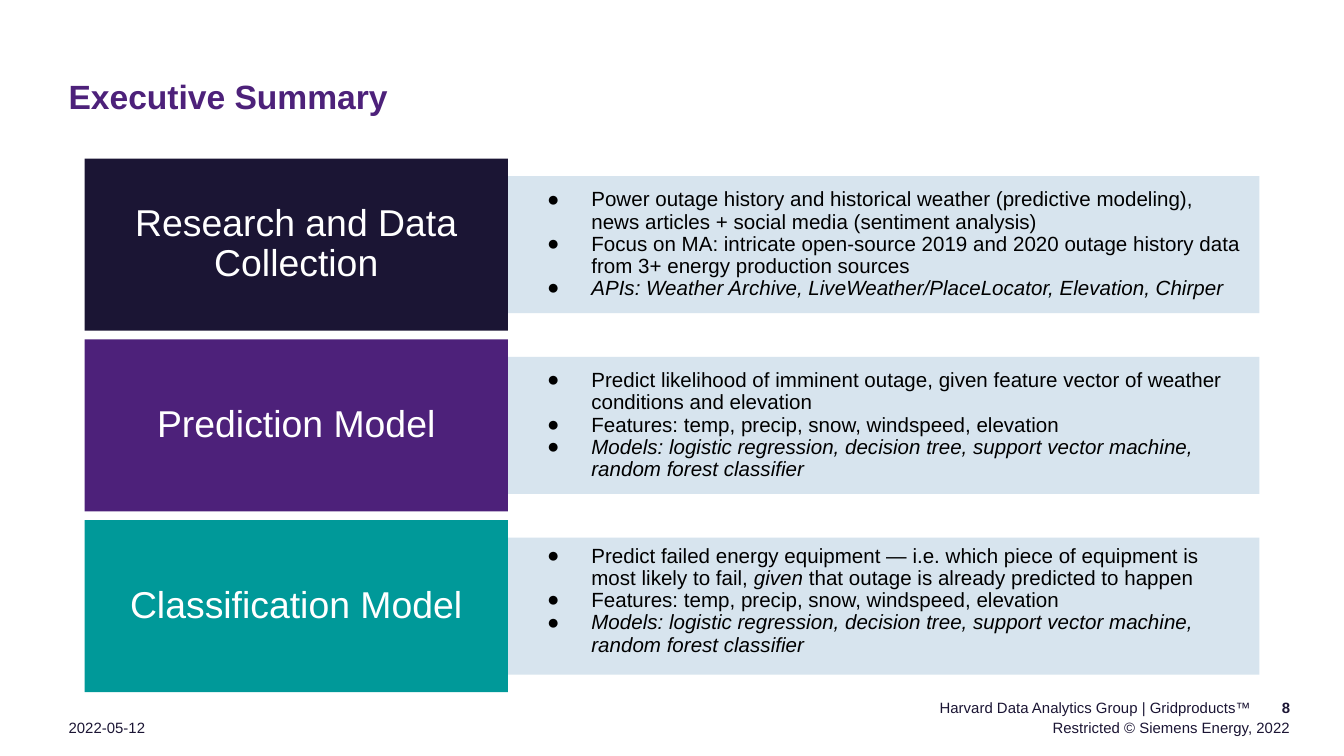
from dataclasses import dataclass
from typing import Any

from lxml import etree
from pptx import Presentation
from pptx.dml.color import RGBColor
from pptx.enum.shapes import MSO_SHAPE
from pptx.enum.text import MSO_ANCHOR, PP_ALIGN
from pptx.oxml.ns import qn
from pptx.util import Pt

PX = 4572  # 200 px to the inch
RECTANGLE = MSO_SHAPE.RECTANGLE
TOP, MIDDLE, BOTTOM = MSO_ANCHOR.TOP, MSO_ANCHOR.MIDDLE, MSO_ANCHOR.BOTTOM
LEFT, CENTER, RIGHT = PP_ALIGN.LEFT, PP_ALIGN.CENTER, PP_ALIGN.RIGHT

NAVY = RGBColor(0x1B, 0x15, 0x34)
PURPLE = RGBColor(0x4D, 0x21, 0x7A)
TEAL = RGBColor(0x00, 0x99, 0x99)
PALE_BLUE = RGBColor(0xD7, 0xE4, 0xEE)
BLACK = RGBColor(0, 0, 0)
WHITE = RGBColor(0xFF, 0xFF, 0xFF)

Area = tuple[int, int, int, int]


@dataclass
class Span:
    text: str
    italic: bool = False


@dataclass
class Style:
    size: int
    color: RGBColor
    insets: Area
    bold: bool = False
    anchor: MSO_ANCHOR = MIDDLE
    align: PP_ALIGN = LEFT
    spacing: float = 1.0
    bullet: str = ""


@dataclass
class Topic:
    heading: str
    color: RGBColor
    points: list[list[Span]]
    anchor: MSO_ANCHOR = MIDDLE


@dataclass
class Label:
    text: str
    area: Area
    style: Style


# Content
FEATURES = [Span("Features: temp, precip, snow, windspeed, elevation")]
MODELS = [Span("Models: logistic regression, decision tree, support vector machine, "
               "random forest classifier", True)]
TOPICS = [
    Topic("Research and Data Collection", NAVY, [
        [Span("Power outage history and historical weather (predictive modeling), "
              "news articles + social media (sentiment analysis)")],
        [Span("Focus on MA: intricate open-source 2019 and 2020 outage history data "
              "from 3+ energy production sources")],
        [Span("APIs: Weather Archive, LiveWeather/PlaceLocator, Elevation, Chirper", True)],
    ]),
    Topic("Prediction Model", PURPLE, [
        [Span("Predict likelihood of imminent outage, given feature vector of weather "
              "conditions and elevation")],
        FEATURES,
        MODELS,
    ]),
    Topic("Classification Model", TEAL, [
        [Span("Predict failed energy equipment — i.e. which piece of equipment is "
              "most likely to fail, "),
         Span("given", True),
         Span(" that outage is already predicted to happen")],
        FEATURES,
        MODELS,
    ], TOP),
]
LABELS = [
    Label("Executive Summary", (0, 0, 1584, 232),
          Style(18, PURPLE, (102, 62, 0, 0), bold=True, spacing=0.9)),
    Label("Harvard Data Analytics Group | Gridproducts™", (1024, 1012, 976, 60),
          Style(8, NAVY, (0, 0, 138, 6), anchor=BOTTOM, align=RIGHT)),
    Label("8", (1864, 1012, 136, 60),
          Style(8, NAVY, (0, 0, 80, 6), bold=True, anchor=BOTTOM, align=RIGHT)),
    Label("Restricted © Siemens Energy, 2022", (1024, 1070, 976, 54),
          Style(8, NAVY, (102, 0, 80, 0), anchor=TOP, align=RIGHT)),
    Label("2022-05-12", (0, 1070, 278, 54),
          Style(8, NAVY, (102, 0, 0, 0), anchor=TOP)),
]

# Row layout
ROW_TOP, ROW_PITCH = 236, 269
HEADING_LEFT, HEADING_WIDTH, HEADING_HEIGHT = 126, 630, 256
PANEL_LEFT = HEADING_LEFT + HEADING_WIDTH
PANEL_WIDTH, PANEL_HEIGHT = 1118, 204
PANEL_OFFSET = (HEADING_HEIGHT - PANEL_HEIGHT) // 2
BULLET_MARGIN, BULLET_INDENT = 100, -66


def scaled(area: Area) -> list[int]:
    return [value * PX for value in area]


def set_values(target: Any, values: dict[str, Any]) -> None:
    for name, value in values.items():
        setattr(target, name, value)


def add_bullet(para: Any, mark: str) -> None:
    properties = para._p.get_or_add_pPr()
    properties.set("marL", str(BULLET_MARGIN * PX))
    properties.set("indent", str(BULLET_INDENT * PX))
    color = etree.SubElement(properties, qn("a:buClr"))
    etree.SubElement(color, qn("a:srgbClr")).set("val", str(BLACK))
    etree.SubElement(properties, qn("a:buFont")).set("typeface", "Arial")
    etree.SubElement(properties, qn("a:buChar")).set("char", mark)


def write(box: Any, paragraphs: list[list[Span]], style: Style) -> None:
    frame = box.text_frame
    left, top, right, bottom = scaled(style.insets)
    set_values(frame, {
        "word_wrap": True, "vertical_anchor": style.anchor,
        "margin_left": left, "margin_top": top,
        "margin_right": right, "margin_bottom": bottom,
    })
    for index, spans in enumerate(paragraphs):
        para = frame.add_paragraph() if index else frame.paragraphs[0]
        if style.bullet:
            add_bullet(para, style.bullet)
        set_values(para, {"alignment": style.align, "line_spacing": style.spacing})
        for span in spans:
            run = para.add_run()
            run.text = span.text
            set_values(run.font, {"name": "Arial", "size": Pt(style.size),
                                  "bold": style.bold, "italic": span.italic})
            run.font.color.rgb = style.color


def add_block(page: Any, area: Area, fill: RGBColor,
              paragraphs: list[list[Span]], style: Style) -> None:
    box = page.shapes.add_shape(RECTANGLE, *scaled(area))
    box.shadow.inherit = False
    box.fill.solid()
    box.fill.fore_color.rgb = fill
    box.line.fill.background()
    write(box, paragraphs, style)


def add_topic(page: Any, topic: Topic, top: int) -> None:
    add_block(page, (PANEL_LEFT, top + PANEL_OFFSET, PANEL_WIDTH, PANEL_HEIGHT),
              PALE_BLUE, topic.points,
              Style(11, BLACK, (24, 12, 24, 12), anchor=topic.anchor,
                    spacing=0.9, bullet="●"))
    add_block(page, (HEADING_LEFT, top, HEADING_WIDTH, HEADING_HEIGHT),
              topic.color, [[Span(topic.heading)]],
              Style(20, WHITE, (54, 28, 54, 28), align=CENTER, spacing=0.9))


def main() -> None:
    deck = Presentation()
    set_values(deck, {"slide_width": 2000 * PX, "slide_height": 1125 * PX})
    page = deck.slides.add_slide(deck.slide_layouts[6])

    # Title and footer
    for label in LABELS:
        box = page.shapes.add_textbox(*scaled(label.area))
        write(box, [[Span(label.text)]], label.style)

    # Topic rows
    for row, topic in enumerate(TOPICS):
        add_topic(page, topic, ROW_TOP + row * ROW_PITCH)

    deck.save("out.pptx")


if __name__ == "__main__":
    main()
